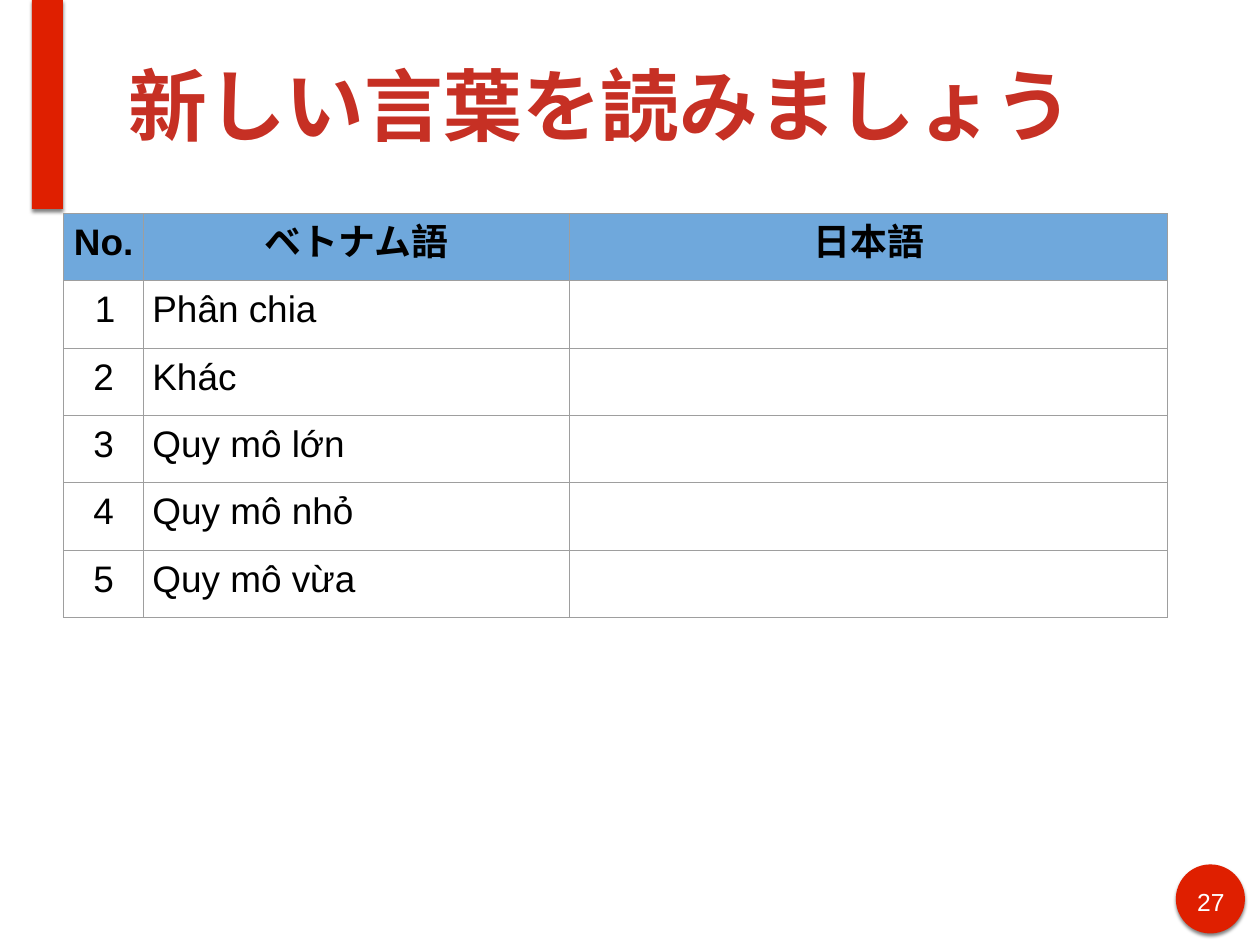
from dataclasses import dataclass

from lxml.etree import SubElement
from pptx import Presentation
from pptx.dml.color import RGBColor
from pptx.enum.shapes import MSO_SHAPE
from pptx.enum.text import MSO_ANCHOR, MSO_AUTO_SIZE, PP_ALIGN
from pptx.oxml.ns import qn
from pptx.util import Inches, Pt


@dataclass(frozen=True)
class Theme:
    font: str = "Arial"
    accent: str = "DF1F00"
    title: str = "C63024"
    header: str = "6FA8DC"
    border: str = "9E9E9E"
    text: str = "000000"
    light: str = "FFFFFF"
    title_size: int = 64
    table_size: int = 30
    number_size: int = 20
    border_width: float = 0.75


@dataclass(frozen=True)
class Accent:
    kind: MSO_SHAPE
    left: float
    top: float
    width: float
    height: float


THEME = Theme()
ACCENTS = [
    Accent(MSO_SHAPE.OVAL, 13.27, 9.76, 0.78, 0.78),
    Accent(MSO_SHAPE.RECTANGLE, 0.36, 0, 0.35, 2.36),
]
COLUMNS = [0.9, 4.81, 6.75]
ROW_HEIGHT = 0.76
HEADERS = ["No.", "ベトナム語", "日本語"]
WORDS = ["Phân chia", "Khác", "Quy mô lớn", "Quy mô nhỏ", "Quy mô vừa"]


def write(p, text: str, size: int, color: str, bold: bool = False, align=PP_ALIGN.LEFT) -> None:
    p.alignment = align
    r = p.add_run()
    r.text = text
    for name, value in {"name": THEME.font, "size": Pt(size), "bold": bold}.items():
        setattr(r.font, name, value)
    r.font.color.rgb = RGBColor.from_string(color)
    SubElement(r.font._element, qn("a:ea"), typeface=THEME.font)


def format_frame(tf, margin: float) -> None:
    values = {f"margin_{side}": Inches(margin) for side in ("left", "right", "top", "bottom")}
    values |= {"word_wrap": True, "auto_size": MSO_AUTO_SIZE.NONE}
    for name, value in values.items():
        setattr(tf, name, value)


def add_accent(s, accent: Accent) -> None:
    box = (accent.left, accent.top, accent.width, accent.height)
    sp = s.shapes.add_shape(accent.kind, *map(Inches, box))
    sp.fill.solid()
    sp.fill.fore_color.rgb = RGBColor.from_string(THEME.accent)
    sp.line.fill.background()
    sp.shadow.inherit = False
    effects = sp._element.spPr.find(qn("a:effectLst"))
    shadow = SubElement(effects, qn("a:outerShdw"), blurRad=str(Pt(3)), dist=str(Pt(2)),
                        dir="5400000", algn="t", rotWithShape="0")
    color = SubElement(shadow, qn("a:srgbClr"), val="000000")
    SubElement(color, qn("a:alpha"), val="50000")


def add_title(s, text: str) -> None:
    sp = s.shapes.title
    box = {"left": 1.39, "top": 0.12, "width": 12.14, "height": 2.12}
    for name, value in box.items():
        setattr(sp, name, Inches(value))
    tf = sp.text_frame
    format_frame(tf, 0.06)
    tf.vertical_anchor = MSO_ANCHOR.MIDDLE
    write(tf.paragraphs[0], text, THEME.title_size, THEME.title, bold=True)


def add_page_number(s, number: int) -> None:
    tf = s.shapes.add_textbox(*map(Inches, (13.42, 9.95, 0.49, 0.39))).text_frame
    format_frame(tf, 0.06)
    write(tf.paragraphs[0], str(number), THEME.number_size, THEME.light, align=PP_ALIGN.CENTER)


def format_cell(cell, fill: str | None) -> None:
    """Set margins, borders and fill; borders must precede the fill in the XML."""
    for side in ("left", "right", "top", "bottom"):
        setattr(cell, f"margin_{side}", Inches(0.1))
    tc_pr = cell._tc.get_or_add_tcPr()
    for edge in ("lnL", "lnR", "lnT", "lnB"):
        ln = SubElement(tc_pr, qn(f"a:{edge}"), w=str(Pt(THEME.border_width)))
        SubElement(SubElement(ln, qn("a:solidFill")), qn("a:srgbClr"), val=THEME.border)
    if fill:
        cell.fill.solid()
        cell.fill.fore_color.rgb = RGBColor.from_string(fill)
    else:
        cell.fill.background()


def add_word_table(s) -> None:
    rows = [HEADERS] + [[str(i), word, ""] for i, word in enumerate(WORDS, 1)]
    box = (0.72, 2.41, sum(COLUMNS), ROW_HEIGHT * len(rows))
    table = s.shapes.add_table(len(rows), len(COLUMNS), *map(Inches, box)).table
    table.horz_banding = False
    table.first_row = False
    for column, width in zip(table.columns, COLUMNS):
        column.width = Inches(width)
    for i, values in enumerate(rows):
        table.rows[i].height = Inches(ROW_HEIGHT)
        header = i == 0
        for j, text in enumerate(values):
            cell = table.cell(i, j)
            format_cell(cell, THEME.header if header else None)
            if text:
                align = PP_ALIGN.CENTER if header or j == 0 else PP_ALIGN.LEFT
                write(cell.text_frame.paragraphs[0], text, THEME.table_size, THEME.text, header, align)
    # The first number is placed by a hanging indent instead of centring.
    p = table.cell(1, 0).text_frame.paragraphs[0]
    p.alignment = PP_ALIGN.LEFT
    p_pr = p._p.get_or_add_pPr()
    p_pr.set("marL", str(Inches(0.5)))
    p_pr.set("indent", str(Inches(-0.25)))


def main() -> None:
    prs = Presentation()
    prs.slide_width, prs.slide_height = Inches(14.22), Inches(10.67)
    s = prs.slides.add_slide(prs.slide_layouts[5])
    for accent in ACCENTS:
        add_accent(s, accent)
    add_page_number(s, 27)
    add_title(s, "新しい言葉を読みましょう")
    add_word_table(s)
    prs.save("out.pptx")


if __name__ == "__main__":
    main()
